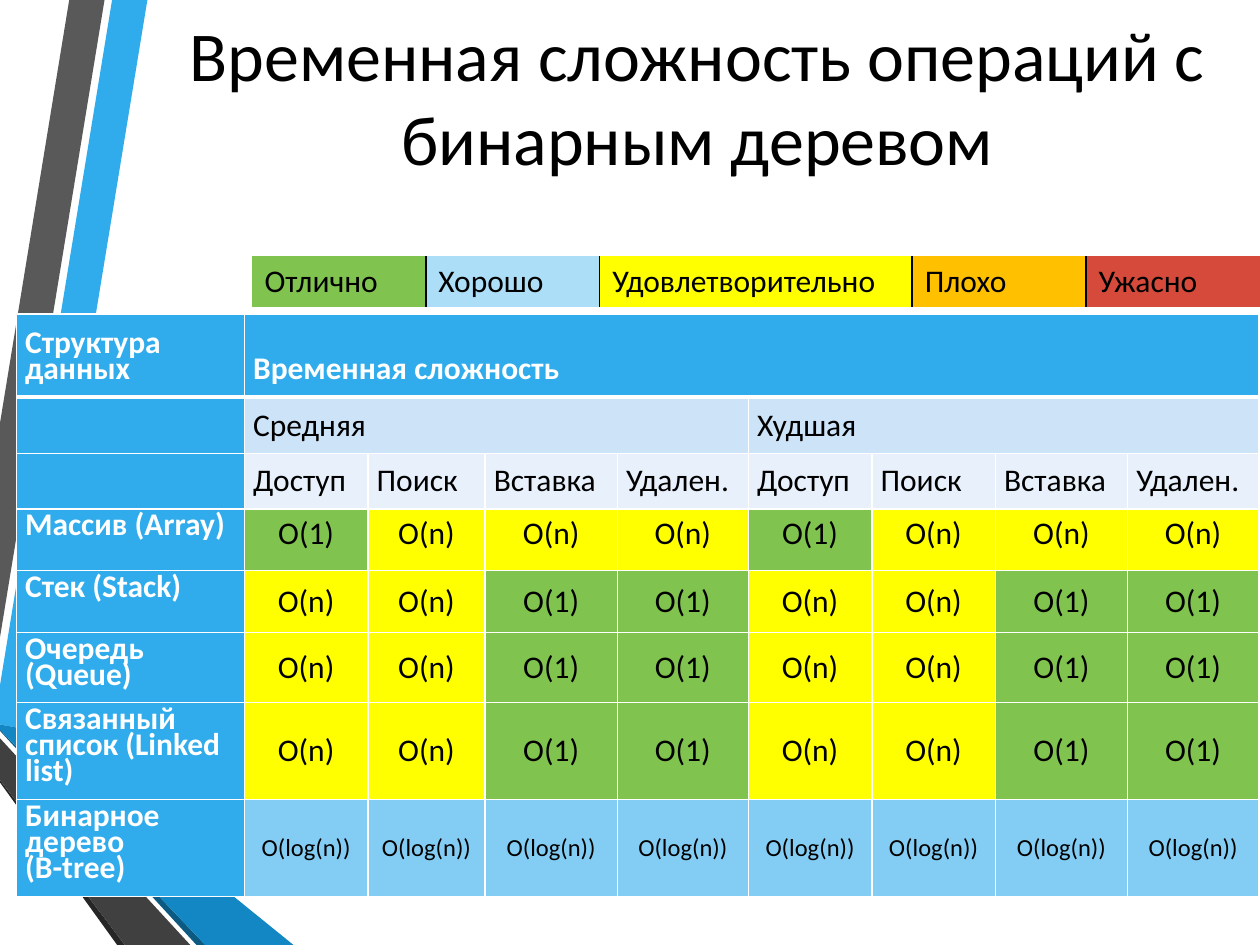
from dataclasses import dataclass

from lxml import etree
from pptx import Presentation
from pptx.dml.color import RGBColor
from pptx.enum.text import MSO_ANCHOR, PP_ALIGN
from pptx.oxml.ns import qn
from pptx.util import Inches, Pt

LEFT, CENTER = PP_ALIGN.LEFT, PP_ALIGN.CENTER
TOP, MIDDLE, BOTTOM = MSO_ANCHOR.TOP, MSO_ANCHOR.MIDDLE, MSO_ANCHOR.BOTTOM


@dataclass(frozen=True)
class Theme:
    font: str = "Calibri"
    title_size: int = 40
    body_size: int = 18
    small_size: int = 14
    line_height: int = 15
    black: str = "000000"
    white: str = "FFFFFF"
    accent: str = "30ACEC"
    ribbon_gray: str = "595959"
    ribbon_dark: str = "404040"
    ribbon_dark_edge: str = "262626"
    ribbon_blue: str = "1287C3"
    ribbon_blue_edge: str = "0C5A82"
    case_fill: str = "CDE3F8"
    operation_fill: str = "E8F1FB"
    excellent: str = "80C34F"
    good: str = "ACDEF7"
    logarithmic: str = "83CDF4"
    fair: str = "FFFF00"
    bad: str = "FFC000"
    awful: str = "D64A3B"


THEME = Theme()

RIBBONS = [
    (THEME.accent, [(0, 5.44), (0, 5.75), (0.22, 5.79), (1.17, 0), (0.89, 0)]),
    (THEME.ribbon_gray, [(0.83, 0), (0.55, 0), (0, 3.36), (0, 5.06)]),
    (THEME.ribbon_dark_edge, [(0, 6.19), (0, 6.21), (0.93, 7.5), (0.99, 7.5)]),
    (THEME.ribbon_blue_edge, [(0, 5.79), (0, 5.8), (1.56, 7.5), (1.63, 7.5)]),
    (THEME.ribbon_blue,
     [(0, 5.79), (1.63, 7.5), (2.33, 7.5), (0.22, 5.79), (0, 5.75)]),
    (THEME.ribbon_dark, [(0, 6.19), (0.99, 7.5), (1.51, 7.5), (0, 5.86)]),
]

RATINGS = [
    ("Отлично", THEME.excellent),
    ("Хорошо", THEME.good),
    ("Удовлетворительно", THEME.fair),
    ("Плохо", THEME.bad),
    ("Ужасно", THEME.awful),
]

HEADINGS = ["Структура\nданных", "Временная сложность"]
CASES = ["Средняя", "Худшая"]
OPERATIONS = ["Доступ", "Поиск", "Вставка", "Удален."]
STRUCTURES = [
    ("Массив (Array)", ["O(1)", "O(n)", "O(n)", "O(n)"]),
    ("Стек (Stack)", ["O(n)", "O(n)", "O(1)", "O(1)"]),
    ("Очередь (Queue)", ["O(n)", "O(n)", "O(1)", "O(1)"]),
    ("Связанный список (Linked list)", ["O(n)", "O(n)", "O(1)", "O(1)"]),
    ("Бинарное дерево\n(B-tree)", ["O(log(n))"] * 4),
]
COST_FILLS = {
    "O(1)": THEME.excellent,
    "O(n)": THEME.fair,
    "O(log(n))": THEME.logarithmic,
}


def write(frame, text, size=THEME.body_size, color=THEME.black, bold=False,
          align=LEFT, line_height=None):
    frame.text = text
    for paragraph in frame.paragraphs:
        paragraph.alignment = align
        if line_height:
            paragraph.line_spacing = Pt(line_height)
        for run in paragraph.runs:
            run.font.name = THEME.font
            run.font.size = Pt(size)
            run.font.bold = bold
            run.font.color.rgb = RGBColor.from_string(color)


def set_borders(cell, color, **widths):
    properties = cell._tc.get_or_add_tcPr()
    for side in "LRTB":
        width = widths.get(side, 0)
        line = etree.SubElement(properties, qn(f"a:ln{side}"), w=str(Pt(width)))
        if width:
            fill = etree.SubElement(line, qn("a:solidFill"))
            etree.SubElement(fill, qn("a:srgbClr"), val=color)
        else:
            etree.SubElement(line, qn("a:noFill"))


def paint(target, color):
    target.fill.solid()
    target.fill.fore_color.rgb = RGBColor.from_string(color)


def set_margins(cell, margin):
    cell.margin_left = cell.margin_right = Inches(margin)
    cell.margin_top = cell.margin_bottom = Inches(margin)


def add_ribbon(slide, color, points):
    corners = [(Inches(x), Inches(y)) for x, y in points]
    builder = slide.shapes.build_freeform(*corners[0])
    builder.add_line_segments(corners[1:], close=True)
    ribbon = builder.convert_to_shape()
    ribbon.shadow.inherit = False
    paint(ribbon, color)
    ribbon.line.fill.background()


def add_grid(slide, left, top, widths, heights):
    table = slide.shapes.add_table(
        len(heights), len(widths), Inches(left), Inches(top),
        Inches(sum(widths)), Inches(sum(heights))).table
    table.first_row = table.horz_banding = False
    for column, width in zip(table.columns, widths):
        column.width = Inches(width)
    for row, height in zip(table.rows, heights):
        row.height = Inches(height)
    return table


def fill_header(cell, text, background, anchor=BOTTOM, **text_format):
    paint(cell, background)
    set_margins(cell, 0.07)
    cell.vertical_anchor = anchor
    write(cell.text_frame, text, line_height=THEME.line_height, **text_format)


def fill_cost(cell, cost, fixed_lines):
    paint(cell, COST_FILLS[cost])
    set_margins(cell, 0.07 if fixed_lines else 0.08)
    cell.vertical_anchor = MIDDLE
    size = THEME.small_size if cost == "O(log(n))" else THEME.body_size
    write(cell.text_frame, cost, size=size, align=CENTER,
          line_height=THEME.line_height if fixed_lines else None)


def add_legend(slide):
    legend = add_grid(slide, 2, 2.03, [1.38, 1.38, 2.48, 1.38, 1.38], [0.41])
    last = len(RATINGS) - 1
    for index, (rating, color) in enumerate(RATINGS):
        cell = legend.cell(0, index)
        set_borders(cell, THEME.black, L=int(index > 0), R=int(index < last))
        paint(cell, color)
        write(cell.text_frame, rating)


def add_complexity_table(slide):
    table = add_grid(slide, 0.13, 2.49,
                     [1.81, 0.98, 0.93, 1.05, 1.04, 0.98, 0.98, 1.05, 1.04],
                     [0.66, 0.45, 0.44, 0.49, 0.49, 0.55, 0.77, 0.77])
    for row in range(len(table.rows)):
        for column in range(len(table.columns)):
            set_borders(table.cell(row, column), THEME.white, L=1, R=1,
                        T=3 if row == 1 else 1, B=3 if row == 0 else 1)

    heading_format = {"color": THEME.white, "bold": True}
    table.cell(0, 1).merge(table.cell(0, 8))
    for column, heading in enumerate(HEADINGS):
        fill_header(table.cell(0, column), heading, THEME.accent, **heading_format)
    for row in (1, 2):
        paint(table.cell(row, 0), THEME.accent)

    span = len(OPERATIONS)
    for index, case in enumerate(CASES):
        first = 1 + index * span
        table.cell(1, first).merge(table.cell(1, first + span - 1))
        fill_header(table.cell(1, first), case, THEME.case_fill)
    for column, operation in enumerate(OPERATIONS * len(CASES), start=1):
        fill_header(table.cell(2, column), operation, THEME.operation_fill)

    for row, (structure, costs) in enumerate(STRUCTURES, start=3):
        fill_header(table.cell(row, 0), structure, THEME.accent, anchor=TOP,
                    **heading_format)
        for column, cost in enumerate(costs * len(CASES), start=1):
            fill_cost(table.cell(row, column), cost, fixed_lines=row == 3)


def add_title(slide, text):
    title = slide.shapes.title
    title.left, title.top = Inches(1.07), Inches(0)
    title.width, title.height = Inches(8.93), Inches(1.51)
    title.text_frame.vertical_anchor = MIDDLE
    write(title.text_frame, text, size=THEME.title_size, align=CENTER)


def main():
    presentation = Presentation()
    presentation.slide_width, presentation.slide_height = Inches(10), Inches(7.5)
    slide = presentation.slides.add_slide(presentation.slide_layouts[5])
    for color, points in RIBBONS:
        add_ribbon(slide, color, points)
    add_complexity_table(slide)
    add_legend(slide)
    add_title(slide, "Временная сложность операций с бинарным деревом")
    presentation.save("out.pptx")


if __name__ == "__main__":
    main()
